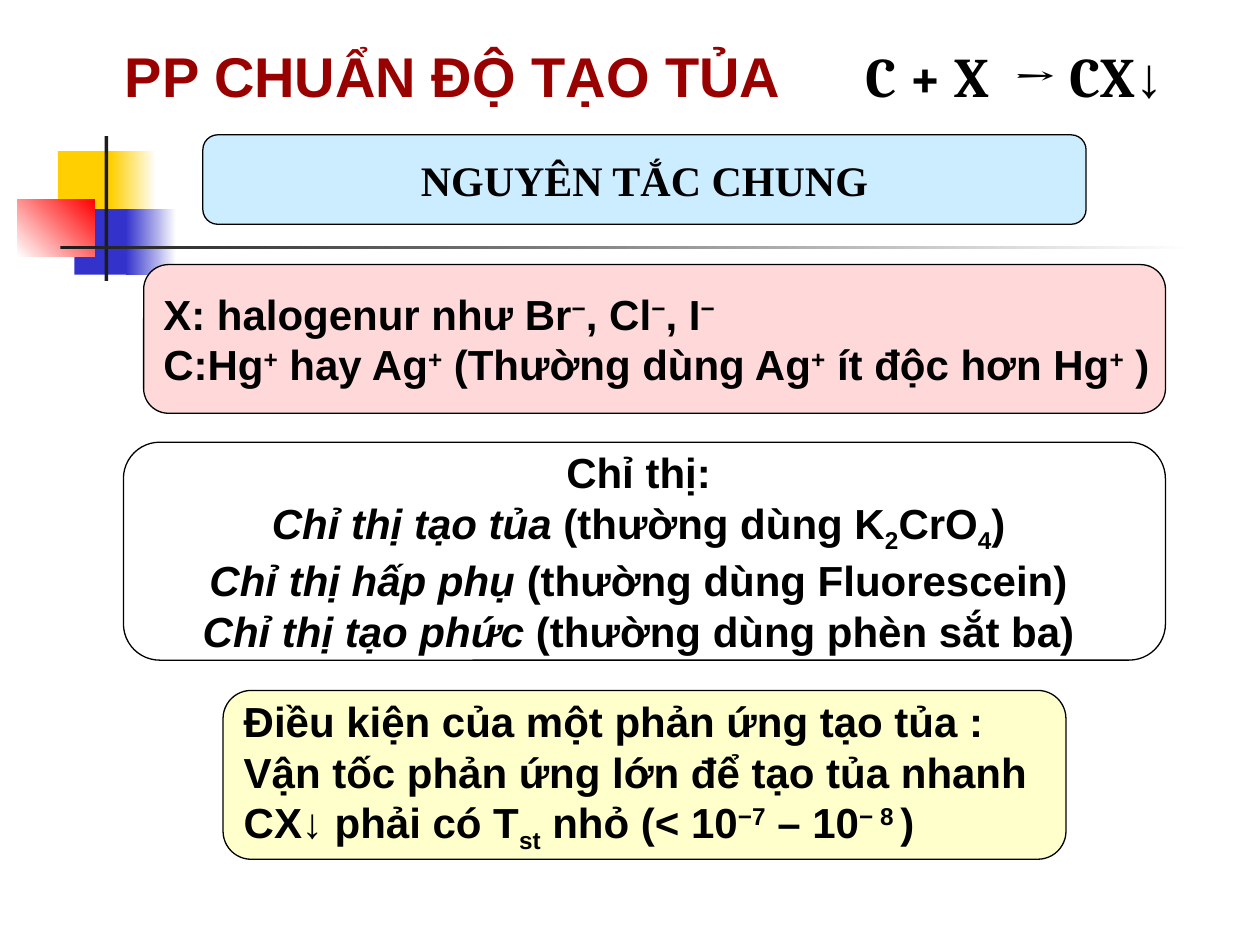
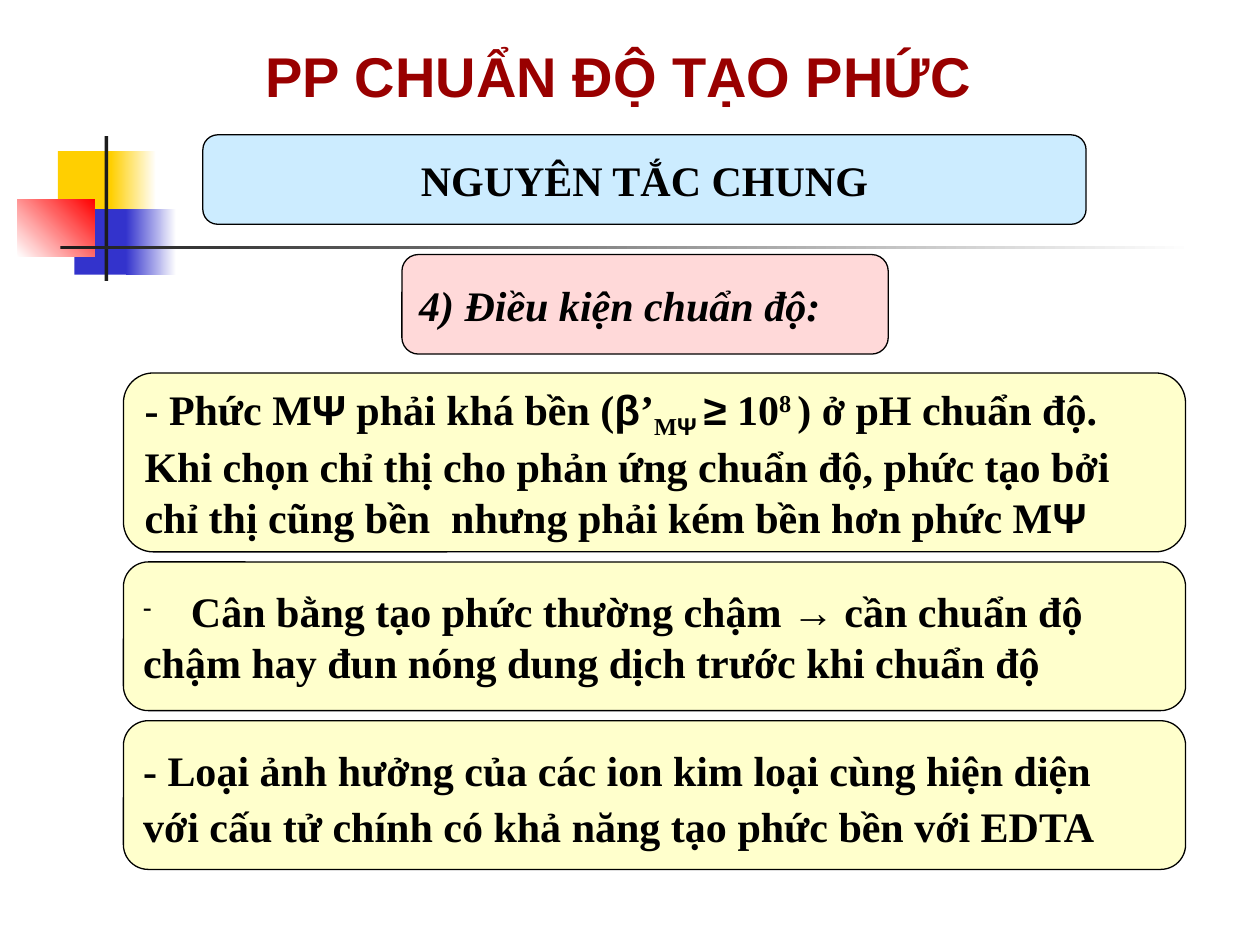
from lxml.etree import SubElement
from pptx import Presentation
from pptx.dml.color import RGBColor
from pptx.enum.shapes import MSO_SHAPE
from pptx.enum.text import MSO_ANCHOR, MSO_AUTO_SIZE, PP_ALIGN
from pptx.oxml.ns import qn
from pptx.util import Inches, Pt

COLORS = {
    "heading": "990000", "ink": "000000", "white": "FFFFFF", "blue": "CCECFF",
    "pink": "FFD9D9", "yellow": "FFFFCC", "gold": "FFCF01", "navy": "3333CC",
    "red": "FF0000", "rule": "1C1C1C",
}
SANS, SERIF, EQUATION = "Arial", "Times New Roman", "Cambria"
TITLE_TOP, TITLE_HEIGHT = 0.28, 0.64

RUN_STYLES = {
    "plain": {},
    "sup": {"baseline": 30},
    "sub": {"baseline": -25},
    "italic": {"italic": True},
    "symbol": {"font": SANS},
    "subsymbol": {"font": SANS, "baseline": -25},
}

MOTIF = [
    ((0.46, 1.2, 0.48, 0.52), ["gold"], 0),
    ((0.88, 1.2, 0.36, 0.52), ["gold", "white"], 0),
    ((0.59, 1.66, 0.46, 0.52), ["navy"], 0),
    ((1, 1.66, 0.4, 0.52), ["navy", "white"], 0),
    ((0.14, 1.58, 0.61, 0.46), ["white", "red"], 45),
    ((0.83, 1.08, 0.03, 1.15), ["rule"], 0),
    ((0.48, 1.95, 9, 0.03), ["rule", "white"], 0),
]

SECTION = {"at": (1.61, 1.07, 7.01, 0.71), "fill": "blue",
           "lines": [["NGUYÊN TẮC CHUNG"]],
           "format": {"font": SERIF, "align": PP_ALIGN.CENTER}}

SLIDES = [
    {
        "title": "PP CHUẨN ĐỘ TẠO TỦA", "title_span": (0.7, 5.79),
        "equation": ["C + X  → CX", ("↓", "symbol")],
        "equation_span": (6.77, 2.74),
        "panels": [
            {"at": (1.14, 2.1, 8.11, 1.18), "fill": "pink", "lines": [
                ["X: halogenur như Br", ("−", "sup"), ", Cl", ("−", "sup"),
                 ", I", ("−", "sup")],
                ["C:Hg", ("+", "sup"), " hay Ag", ("+", "sup"),
                 " (Thường dùng Ag", ("+", "sup"), " ít độc hơn Hg",
                 ("+", "sup"), " )"]]},
            {"at": (0.98, 3.51, 8.27, 1.73), "fill": "white",
             "format": {"align": PP_ALIGN.CENTER}, "lines": [
                ["Chỉ thị: "],
                [("Chỉ thị tạo tủa", "italic"), " (thường dùng K", ("2", "sub"),
                 "CrO", ("4", "sub"), ") "],
                [("Chỉ thị hấp phụ", "italic"), " (thường dùng Fluorescein) "],
                [("Chỉ thị tạo phức ", "italic"),
                 "(thường dùng phèn sắt ba) "]]},
            {"at": (1.77, 5.48, 6.69, 1.34), "fill": "yellow", "lines": [
                ["Điều kiện của một phản ứng tạo tủa :"],
                ["Vận tốc phản ứng lớn để tạo tủa nhanh"],
                ["CX↓ phải có T", ("st", "sub"), " nhỏ (< 10", ("−7", "sup"),
                 " – 10", ("− 8 ", "sup"), ")"]]},
        ],
    },
    {
        "title": "PP CHUẨN ĐỘ TẠO PHỨC", "title_span": (1.82, 6.18),
        "panels": [
            {"at": (3.19, 2.02, 3.86, 0.79), "fill": "pink",
             "format": {"font": SERIF},
             "lines": [[("4) Điều kiện chuẩn độ:", "italic")]]},
            {"at": (0.98, 2.96, 8.43, 1.42), "fill": "yellow",
             "format": {"font": SERIF}, "lines": [
                ["- Phức M", ("Ψ", "symbol"), " phải khá bền (",
                 ("β", "symbol"), "’", ("M", "sub"), ("Ψ ", "subsymbol"),
                 ("≥", "symbol"), " 10", ("8 ", "sup"), ") ở pH chuẩn độ. "],
                ["Khi chọn chỉ thị cho phản ứng chuẩn độ, phức tạo bởi "],
                ["chỉ thị cũng bền  nhưng phải kém bền hơn phức M",
                 ("Ψ", "symbol")]]},
            {"at": (0.98, 4.46, 8.43, 1.18), "fill": "yellow",
             "format": {"font": SERIF, "dash_first": True}, "lines": [
                ["Cân bằng tạo phức thường chậm → cần chuẩn độ "],
                ["chậm hay đun nóng dung dịch trước khi chuẩn độ "]]},
            {"at": (0.98, 5.72, 8.43, 1.18), "fill": "yellow",
             "format": {"font": SERIF, "spacing": 1.1}, "lines": [
                ["- Loại ảnh hưởng của các ion kim loại cùng hiện diện "],
                ["với cấu tử chính có khả năng tạo phức bền với EDTA "]]},
        ],
    },
]


def rgb(name):
    return RGBColor.from_string(COLORS[name])


def inches(box):
    return [Inches(length) for length in box]


def add_dash(paragraph):
    properties = paragraph._p.get_or_add_pPr()
    properties.set("marL", str(Inches(0.38)))
    properties.set("indent", str(-Inches(0.38)))
    color = SubElement(properties, qn("a:buClr"))
    SubElement(color, qn("a:srgbClr"), val=COLORS["ink"])
    SubElement(properties, qn("a:buSzPct"), val="60000")
    SubElement(properties, qn("a:buChar"), char="-")


def write(shape, lines, font=SANS, size=24, color="ink", align=PP_ALIGN.JUSTIFY,
          anchor=MSO_ANCHOR.MIDDLE, spacing=None, dash_first=False):
    frame = shape.text_frame
    frame.word_wrap = False
    frame.auto_size = MSO_AUTO_SIZE.NONE
    frame.vertical_anchor = anchor
    for index, line in enumerate(lines):
        paragraph = frame.add_paragraph() if index else frame.paragraphs[0]
        paragraph.alignment = align
        if spacing:
            paragraph.line_spacing = spacing
        if dash_first and index == 0:
            add_dash(paragraph)
        for part in line:
            words, style_name = (part, "plain") if isinstance(part, str) else part
            style = RUN_STYLES[style_name]
            run = paragraph.add_run()
            run.text = words
            run.font.name = style.get("font", font)
            run.font.size = Pt(size)
            run.font.bold = True
            run.font.italic = style.get("italic", False)
            run.font.color.rgb = rgb(color)
            if "baseline" in style:
                run._r.get_or_add_rPr().set("baseline", str(style["baseline"] * 1000))


def add_motif(slide):
    for box, fills, angle in MOTIF:
        block = slide.shapes.add_shape(MSO_SHAPE.RECTANGLE, *inches(box))
        block.shadow.inherit = False
        block.line.fill.background()
        if len(fills) == 1:
            block.fill.solid()
            block.fill.fore_color.rgb = rgb(fills[0])
        else:
            block.fill.gradient()
            block.fill.gradient_angle = angle
            for stop, name in zip(block.fill.gradient_stops, fills):
                stop.color.rgb = rgb(name)


def add_panel(slide, panel):
    card = slide.shapes.add_shape(MSO_SHAPE.ROUNDED_RECTANGLE, *inches(panel["at"]))
    card.shadow.inherit = False
    card.fill.solid()
    card.fill.fore_color.rgb = rgb(panel["fill"])
    card.line.color.rgb = rgb("ink")
    card.line.width = Pt(0.75)
    write(card, panel["lines"], **panel.get("format", {}))


def add_heading(slide, content):
    left, width = content["title_span"]
    title = slide.shapes.title
    title.left, title.top, title.width, title.height = inches(
        (left, TITLE_TOP, width, TITLE_HEIGHT))
    write(title, [[content["title"]]], size=32, color="heading",
          align=PP_ALIGN.CENTER)
    if "equation" in content:
        left, width = content["equation_span"]
        equation = slide.shapes.add_textbox(
            *inches((left, TITLE_TOP, width, TITLE_HEIGHT)))
        write(equation, [content["equation"]], font=EQUATION, size=32,
              align=PP_ALIGN.LEFT, anchor=MSO_ANCHOR.TOP)


def main():
    deck = Presentation()
    deck.slide_width, deck.slide_height = Inches(10), Inches(7.5)
    title_only = deck.slide_layouts[5]
    for content in SLIDES:
        slide = deck.slides.add_slide(title_only)
        add_motif(slide)
        add_heading(slide, content)
        for panel in [SECTION, *content["panels"]]:
            add_panel(slide, panel)
    deck.save("out.pptx")


if __name__ == "__main__":
    main()
